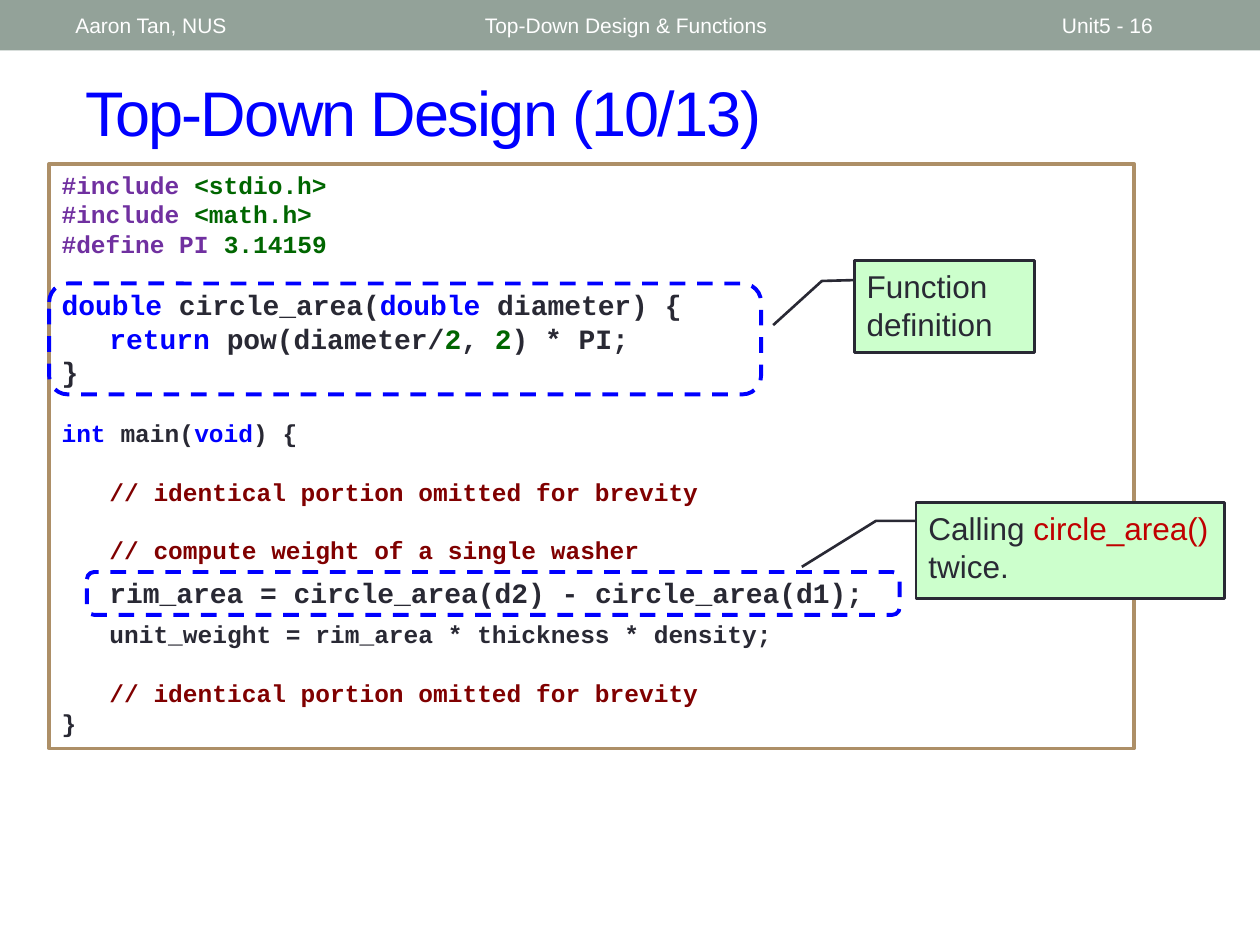
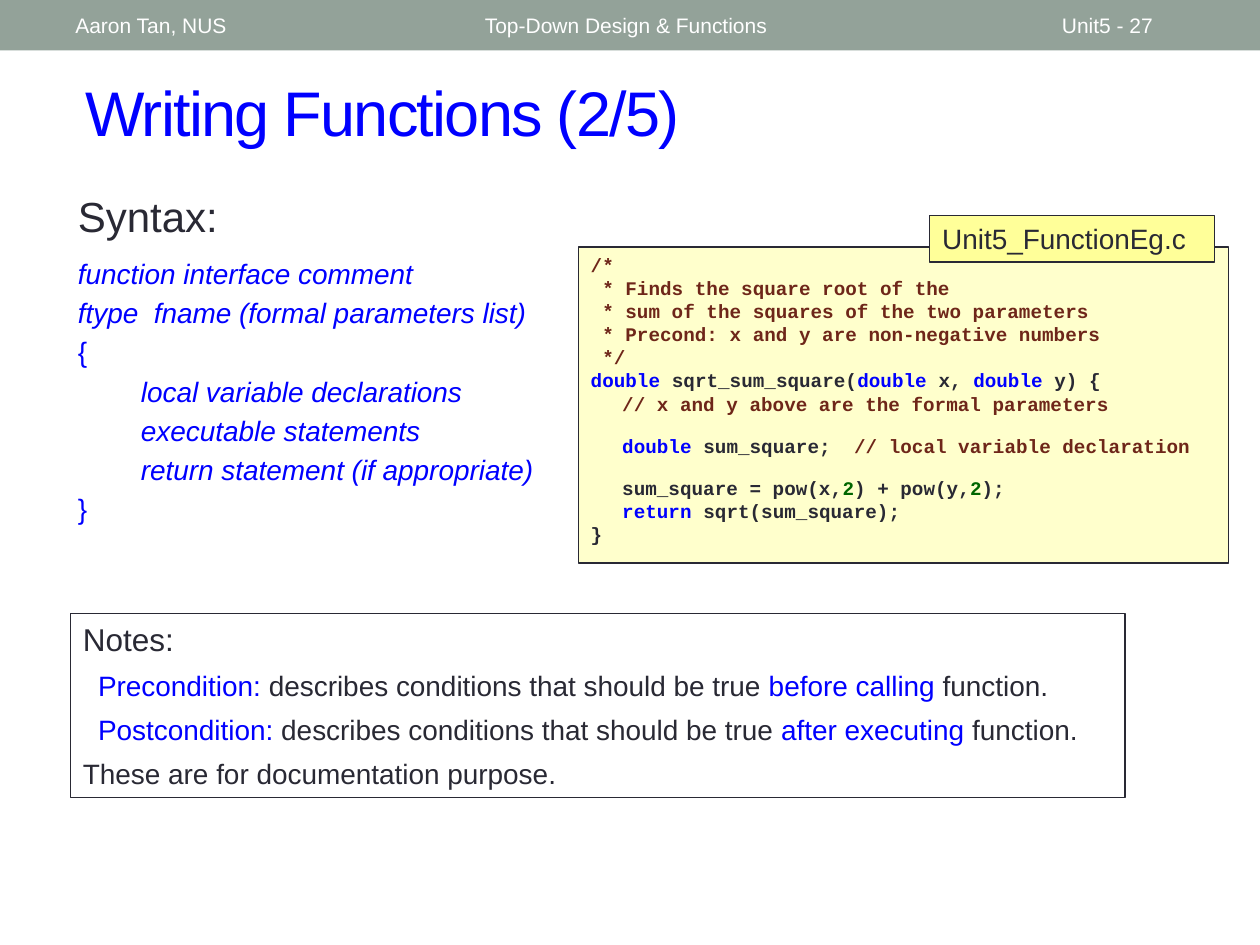
"""Build two lecture slides on top-down design and writing functions in C."""
import dataclasses

import pptx
import pptx.dml.color
import pptx.enum.dml
import pptx.enum.shapes
import pptx.enum.text
import pptx.util

SHAPES = pptx.enum.shapes.MSO_SHAPE
ANCHORS = pptx.enum.text.MSO_ANCHOR
DASH = pptx.enum.dml.MSO_LINE.DASH
COLUMNS, ROWS = 100, 75
CELL = pptx.util.Inches(0.1)


@dataclasses.dataclass(frozen=True)
class Theme:
    """Colours, fonts and type sizes shared by the slides."""
    ink: str = "292934"
    keyword: str = "0000FF"
    number: str = "006600"
    directive: str = "7030A0"
    comment: str = "800000"
    remark: str = "6E2619"
    accent: str = "C00000"
    white: str = "FFFFFF"
    band: str = "93A299"
    frame: str = "AD8F67"
    callout: str = "CCFFCC"
    example: str = "FFFFCC"
    tab: str = "FFFF99"
    sans: str = "Arial"
    mono: str = "Courier New"
    title: int = 36
    heading: int = 24
    label: int = 18
    body: int = 16
    code: int = 14
    header: int = 12
    small_code: int = 11
    leading: float = 1.2


THEME = Theme()


@dataclasses.dataclass(frozen=True)
class Box:
    """A rectangle in grid columns and rows."""
    left: float
    top: float
    width: float
    height: float

    def inside(self, left, top, width, height):
        """Return a box offset from this one."""
        return Box(self.left + left, self.top + top, width, height)

    def lengths(self):
        """Return left, top, width and height as slide lengths."""
        return [round(value * CELL) for value in dataclasses.astuple(self)]


@dataclasses.dataclass(frozen=True)
class Line:
    """A paragraph whose runs alternate colour names and text."""
    runs: tuple
    size: float
    before: float = 0
    after: float = 0
    margin: float = 0
    indent: float = 0
    italic: bool = False
    bold: bool = False
    font: str = THEME.sans


def colour(name):
    """Return the theme colour of that name."""
    return pptx.dml.color.RGBColor.from_string(getattr(THEME, name))


def apply_format(target, values):
    """Set each attribute of the target from a dict."""
    for name, value in values.items():
        setattr(target, name, value)


def write_lines(shape, lines, anchor=ANCHORS.TOP):
    """Write the lines into the shape and return its paragraphs."""
    frame = shape.text_frame
    apply_format(frame, {"word_wrap": True, "vertical_anchor": anchor})
    for number, line in enumerate(lines):
        paragraph = frame.add_paragraph() if number else frame.paragraphs[0]
        properties = paragraph._p.get_or_add_pPr()
        properties.set("marL", str(round(line.margin * CELL)))
        properties.set("indent", str(round(line.indent * CELL)))
        apply_format(paragraph, {
            "alignment": pptx.enum.text.PP_ALIGN.LEFT,
            "line_spacing": pptx.util.Pt(line.size * THEME.leading),
            "space_before": pptx.util.Pt(line.before if number else 0),
            "space_after": pptx.util.Pt(line.after)})
        for name, text in zip(line.runs[::2], line.runs[1::2]):
            run = paragraph.add_run()
            run.text = text
            apply_format(run.font, {"name": line.font, "size": pptx.util.Pt(line.size),
                                    "bold": line.bold, "italic": line.italic})
            run.font.color.rgb = colour(name)
    return frame.paragraphs


def add_text(slide, box, lines, anchor=ANCHORS.TOP):
    """Add a plain text box and return its paragraphs."""
    return write_lines(slide.shapes.add_textbox(*box.lengths()), lines, anchor)


def add_panel(slide, box, fill=None, line=None, width=0.75, kind=SHAPES.RECTANGLE, lines=()):
    """Add a preset shape with its fill, outline and text."""
    shape = slide.shapes.add_shape(kind, *box.lengths())
    shape.shadow.inherit = False
    if fill:
        shape.fill.solid()
        shape.fill.fore_color.rgb = colour(fill)
    else:
        shape.fill.background()
    if line:
        shape.line.color.rgb = colour(line)
        shape.line.width = pptx.util.Pt(width)
    else:
        shape.line.fill.background()
    write_lines(shape, lines)
    return shape


def add_highlight(slide, box):
    """Outline a stretch of code with a dashed rounded frame."""
    shape = add_panel(slide, box, line="keyword", width=2.25, kind=SHAPES.ROUNDED_RECTANGLE)
    shape.line.dash_style = DASH


def add_callout(slide, box, runs, leader):
    """Add a note with a bent leader line."""
    shape = add_panel(slide, box, "callout", "ink", 1.5, SHAPES.LINE_CALLOUT_2,
                      [Line(runs, THEME.label)])
    for number, value in enumerate(leader):
        shape.adjustments[number] = value


def add_frame(slide, box, title, page):
    """Add the header band with its three labels and the title."""
    band = box.inside(0, 0, box.width, 4)
    add_panel(slide, band, "band")
    labels = ((5, 31.7, "Aaron Tan, NUS"), (37.5, 45, "Top-Down Design & Functions"),
              (83.3, 11.7, f"Unit5 - {page}"))
    for left, width, text in labels:
        add_text(slide, band.inside(left, 0.2, width, 3.6),
                 [Line(("white", text), THEME.header)], ANCHORS.MIDDLE)
    paragraphs = add_text(slide, box.inside(5.8, 4.2, 91.7, 9.2),
                          [Line(("keyword", title), THEME.title)], ANCHORS.MIDDLE)
    paragraphs[0].runs[0].font._element.set("spc", "-100")


def code_line(*runs, size=THEME.code, margin=0, gap=0, **spacing):
    """Return a line of code, with a gap as tall as a line of the given size."""
    spacing.setdefault("before", gap * THEME.leading)
    return Line(runs, size, margin=margin, bold=True, font=THEME.mono, **spacing)


def add_program(slide, box):
    """Add the washer program with its highlights and callouts."""
    large, skip, step = THEME.body, THEME.code, 3.8
    omitted = code_line("comment", "// identical portion omitted for brevity",
                        margin=step, gap=skip)
    add_panel(slide, box, "white", "frame", 2.08, lines=[
        code_line("directive", "#include ", "number", "<stdio.h>"),
        code_line("directive", "#include ", "number", "<math.h>"),
        code_line("directive", "#define PI ", "number", "3.14159"),
        code_line("keyword", "double ", "ink", "circle_area(", "keyword", "double",
                  "ink", " diameter) {", size=large, gap=skip),
        code_line("keyword", "return ", "ink", "pow(diameter/", "number", "2", "ink", ", ",
                  "number", "2", "ink", ") * PI;", size=large, margin=step),
        code_line("ink", "}", size=large),
        code_line("keyword", "int", "ink", " main(", "keyword", "void", "ink", ") {", gap=skip),
        omitted,
        code_line("comment", "// compute weight of a single washer", margin=step, gap=skip),
        code_line("ink", "rim_area = circle_area(d2) - circle_area(d1);",
                  size=large, margin=step, before=6, after=6),
        code_line("ink", "unit_weight = rim_area * thickness * density;", margin=step),
        omitted,
        code_line("ink", "}")])
    add_highlight(slide, box.inside(0, 9.5, 56.5, 8.8))
    add_callout(slide, box.inside(63.9, 7.7, 14.3, 7.3), ("ink", "Function definition"),
                (0.21, 0, 0.22, -0.18, 0.7, -0.45))
    add_highlight(slide, box.inside(3, 32.4, 64.5, 3.4))
    add_callout(slide, box.inside(68.8, 26.9, 24.5, 7.6),
                ("ink", "Calling ", "accent", "circle_area() ", "ink", "twice."),
                (0.19, 0, 0.19, -0.13, 0.67, -0.37))


def add_syntax(slide, box):
    """Add the general form of a function."""
    hanging = {"margin": 5, "indent": -5}
    form = ("function interface comment", "ftype  fname (formal parameters list)", "{",
            "\tlocal variable declarations", "\texecutable statements",
            "\treturn statement (if appropriate)", "}")
    add_text(slide, box, [Line(("ink", "Syntax:"), THEME.heading, after=6, **hanging)] + [
        Line(("keyword", text), THEME.body, before=0.2 * THEME.body,
             italic=text not in "{}", **hanging) for text in form])


def add_example(slide, box):
    """Add the sample function with its file name tab."""
    step, skip = 2.5, 9
    opening = ("/*", " * Finds the square root of the",
               " * sum of the squares of the two parameters",
               " * Precond: x and y are non-negative numbers", " */")
    body = (
        (0, 0, "keyword", "double ", "ink", "sqrt_sum_square(", "keyword", "double ",
         "ink", "x, ", "keyword", "double", "ink", " y) {"),
        (step, 0, "remark", "// x and y above are the formal parameters"),
        (step, skip, "keyword", "double ", "ink", "sum_square;  ",
         "remark", "// local variable declaration"),
        (step, skip, "ink", "sum_square = pow(x,", "number", "2", "ink", ") + pow(y,",
         "number", "2", "ink", ");"),
        (step, 0, "keyword", "return ", "ink", "sqrt(sum_square);"),
        (0, 0, "ink", "}"))
    lines = [code_line("remark", text, size=THEME.small_code) for text in opening]
    lines += [code_line(*runs, size=THEME.small_code, margin=margin, gap=gap)
              for margin, gap, *runs in body]
    add_panel(slide, box, "example", "ink", lines=lines)
    add_panel(slide, box.inside(27.9, -2.5, 22.6, 3.7), "tab", "ink",
              lines=[Line(("ink", "Unit5_FunctionEg.c"), THEME.body)])


def add_notes_panel(slide, box):
    """Add the framed remarks on conditions."""
    conditions = (("Precondition: ", "before calling "), ("Postcondition: ", "after executing "))
    lines = [Line(("ink", "Notes:"), THEME.label)]
    lines += [Line(("keyword", term, "ink", "describes conditions that should be true ",
                    "keyword", moment, "ink", "function."), THEME.body, before=6, margin=1.2)
              for term, moment in conditions]
    lines.append(Line(("ink", "These are for documentation purpose."), THEME.body, before=6))
    add_panel(slide, box, line="ink", lines=lines)


def build_design_slide(slide, box):
    """Lay out the top-down design slide."""
    add_frame(slide, box, "Top-Down Design (10/13)", 16)
    add_program(slide, box.inside(3.9, 13, 86.1, 46.4))


def build_functions_slide(slide, box):
    """Lay out the writing functions slide."""
    add_frame(slide, box, "Writing Functions (2/5)", 27)
    add_syntax(slide, box.inside(5.2, 14.6, 53.6, 31.7))
    add_example(slide, box.inside(45.9, 19.6, 51.6, 25.1))
    add_notes_panel(slide, box.inside(5.6, 48.7, 83.7, 14.6))


def main():
    """Build and save the presentation."""
    presentation = pptx.Presentation()
    apply_format(presentation, {"slide_width": COLUMNS * CELL, "slide_height": ROWS * CELL})
    for build in (build_design_slide, build_functions_slide):
        slide = presentation.slides.add_slide(presentation.slide_layouts[6])
        build(slide, Box(0, 0, COLUMNS, ROWS))
    presentation.save("out.pptx")


if __name__ == "__main__":
    main()
